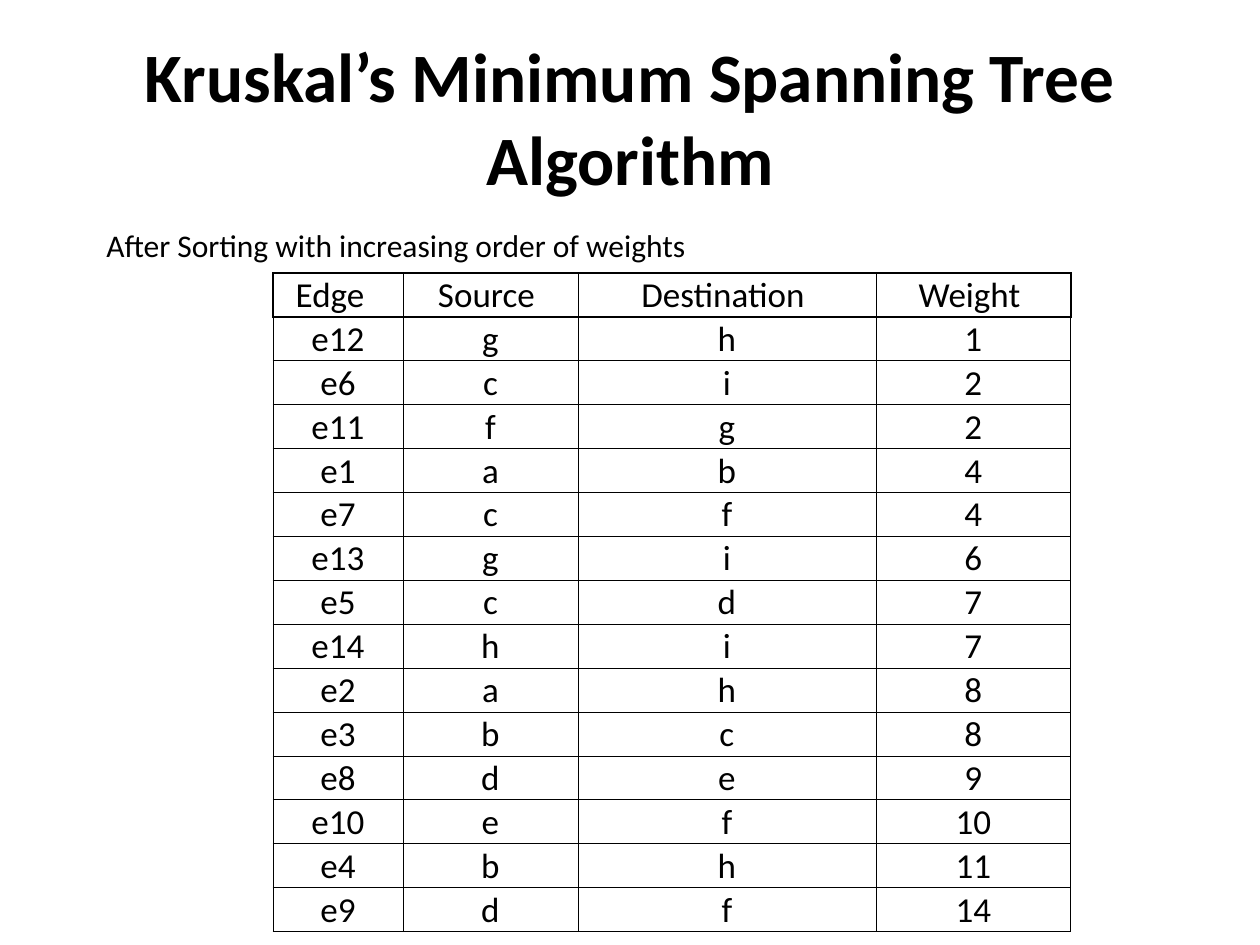
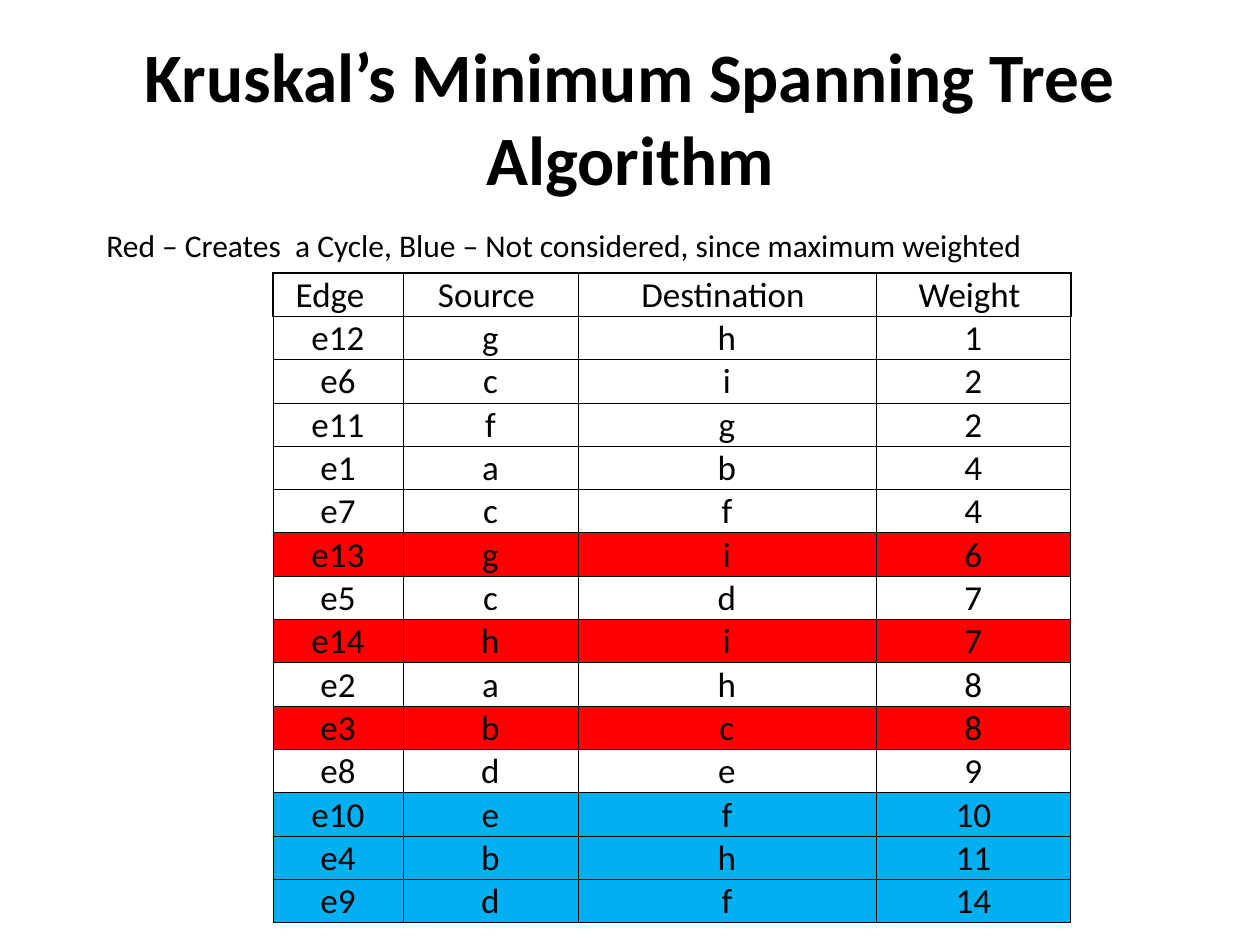
"""Build two slides on the sorted edge list used by Kruskal's algorithm."""
from lxml import etree
from pptx import Presentation
from pptx import util as u
from pptx.dml import color
from pptx.enum import text
from pptx.oxml import ns

TITLE = "Kruskal’s Minimum Spanning Tree Algorithm"
HEADER = ("Edge  ", "Source ", "Destination ", "Weight ")
EDGES = [
    ("e12", "g", "h", 1),
    ("e6", "c", "i", 2),
    ("e11", "f", "g", 2),
    ("e1", "a", "b", 4),
    ("e7", "c", "f", 4),
    ("e13", "g", "i", 6),
    ("e5", "c", "d", 7),
    ("e14", "h", "i", 7),
    ("e2", "a", "h", 8),
    ("e3", "b", "c", 8),
    ("e8", "d", "e", 9),
    ("e10", "e", "f", 10),
    ("e4", "b", "h", 11),
    ("e9", "d", "f", 14),
]
BLACK, RED, BLUE = "000000", "FF0000", "00B0F0"
REJECTED = {
    **dict.fromkeys(("e13", "e14", "e3"), RED),
    **dict.fromkeys(("e10", "e4", "e9"), BLUE),
}
SLIDES = [
    ("After Sorting with increasing order of weights", 703, {}),
    ("Red – Creates  a Cycle, Blue – Not considered, since maximum weighted",
     998, REJECTED),
]

FONT = "Calibri"
SLIDE_W, SLIDE_H = 1260, 945
TITLE_BOX = (63, 38, 1134, 157)
CAPTION_LEFT, CAPTION_TOP, CAPTION_H = 94, 220, 51
TABLE_LEFT, TABLE_TOP, TABLE_H = 273, 273, 650
COLUMN_WIDTHS = (130, 175, 298, 195)
THIN, THICK = 0.5, 1


def px(n):
    return round(n * 914400 / 126)


def rgb(value):
    return color.RGBColor.from_string(value)


def write(tf, content, size, bold=False, align=text.PP_ALIGN.LEFT):
    p = tf.paragraphs[0]
    p.alignment = align
    r = p.add_run()
    r.text = str(content)
    r.font.name = FONT
    r.font.size = u.Pt(size)
    r.font.bold = bold
    r.font.color.rgb = rgb(BLACK)


def add_text(s, content, box, anchor=text.MSO_ANCHOR.TOP,
             fit=text.MSO_AUTO_SIZE.NONE, **style):
    tf = s.shapes.add_textbox(*map(px, box)).text_frame
    tf.word_wrap = True
    tf.auto_size = fit
    tf.vertical_anchor = anchor
    write(tf, content, **style)


def set_border(cell, side, width):
    tc_pr = cell._tc.get_or_add_tcPr()
    ln = etree.SubElement(tc_pr, ns.qn(f"a:ln{side}"), w=str(u.Pt(width)))
    fill = etree.SubElement(ln, ns.qn("a:solidFill"))
    etree.SubElement(fill, ns.qn("a:srgbClr"), val=BLACK)


def format_cell(cell, row, col, fill):
    cell.margin_left = cell.margin_right = cell.margin_top = px(1)
    cell.margin_bottom = 0
    cell.vertical_anchor = text.MSO_ANCHOR.MIDDLE
    last = len(HEADER) - 1
    thick = {
        "L": row == 0 and col == 0,
        "R": row == 0 and col == last,
        "T": row <= 1,
        "B": row == 0,
    }
    for side, is_thick in thick.items():
        set_border(cell, side, THICK if is_thick else THIN)
    if fill:
        cell.fill.solid()
        cell.fill.fore_color.rgb = rgb(fill)
    else:
        cell.fill.background()


def add_edge_table(s, fills):
    rows = [HEADER, *EDGES]
    box = (TABLE_LEFT, TABLE_TOP, sum(COLUMN_WIDTHS), TABLE_H)
    table = s.shapes.add_table(len(rows), len(HEADER), *map(px, box)).table
    table.first_row = table.horz_banding = False
    for column, width in zip(table.columns, COLUMN_WIDTHS):
        column.width = px(width)
    for i, values in enumerate(rows):
        for j, value in enumerate(values):
            cell = table.cell(i, j)
            format_cell(cell, i, j, fills.get(values[0]))
            write(cell.text_frame, value, 20, align=text.PP_ALIGN.CENTER)


def main():
    prs = Presentation()
    prs.slide_width, prs.slide_height = px(SLIDE_W), px(SLIDE_H)
    for caption, width, fills in SLIDES:
        s = prs.slides.add_slide(prs.slide_layouts[6])
        add_text(s, TITLE, TITLE_BOX, anchor=text.MSO_ANCHOR.MIDDLE,
                 size=39.6, bold=True, align=text.PP_ALIGN.CENTER)
        add_edge_table(s, fills)
        add_text(s, caption, (CAPTION_LEFT, CAPTION_TOP, width, CAPTION_H),
                 fit=text.MSO_AUTO_SIZE.SHAPE_TO_FIT_TEXT, size=18)
    prs.save("out.pptx")


if __name__ == "__main__":
    main()
